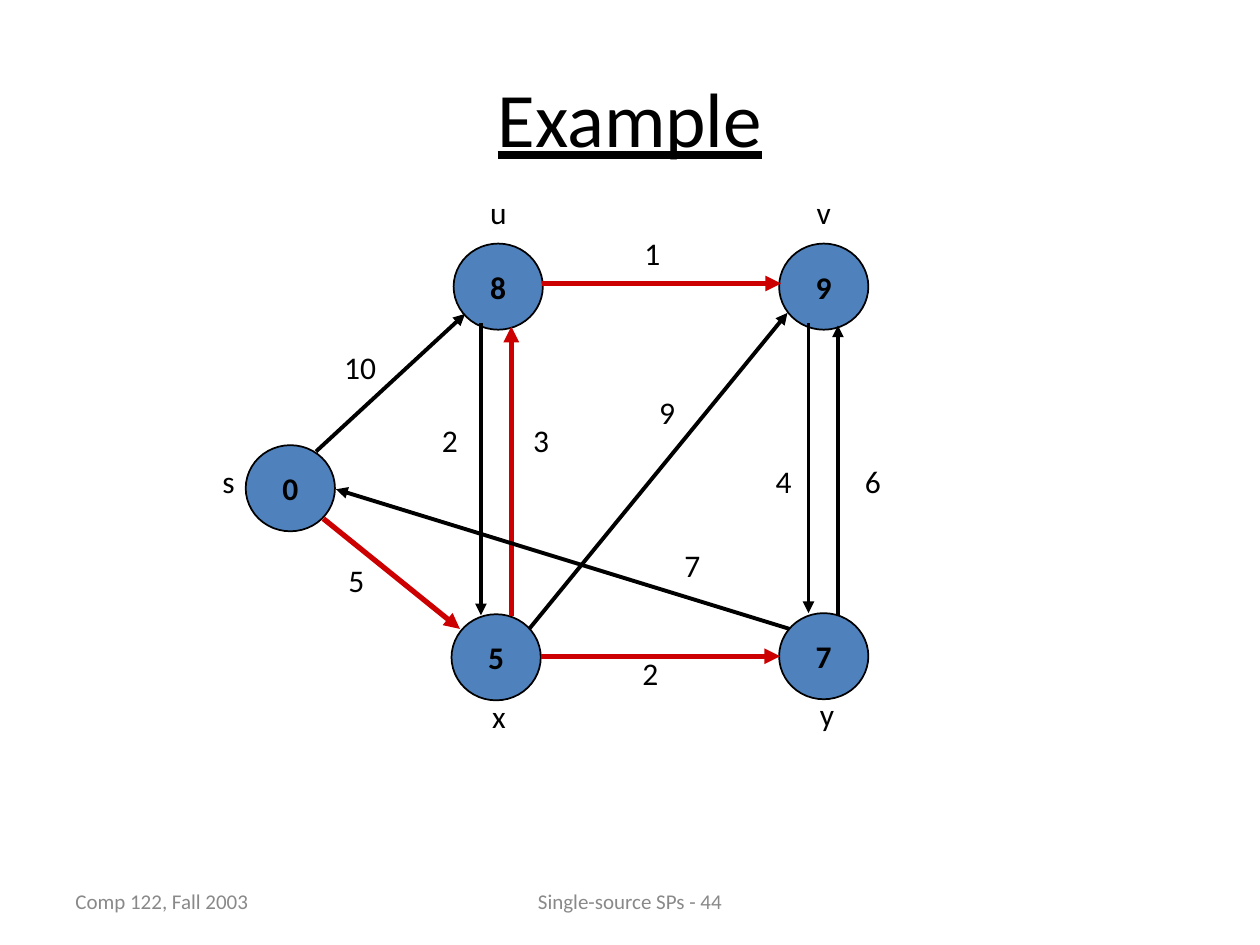
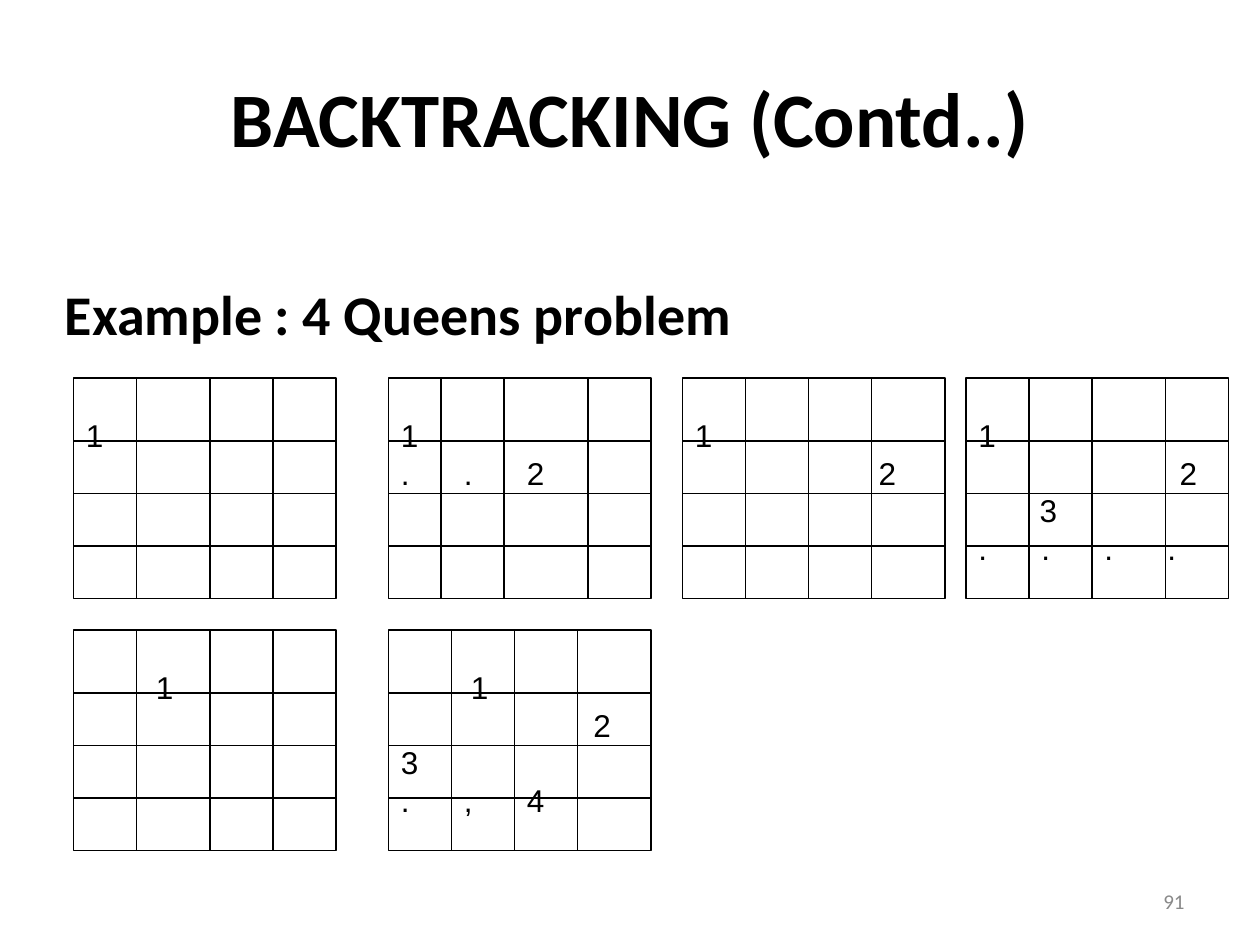
import pptx
import pptx.util
import pptx.dml.color
import pptx.enum.shapes
import pptx.enum.text
import pptx.oxml.ns
from lxml import etree

Pt = pptx.util.Pt
RGB = pptx.dml.color.RGBColor
SHAPE = pptx.enum.shapes.MSO_SHAPE
ALIGN = pptx.enum.text.PP_ALIGN
ANCHOR = pptx.enum.text.MSO_ANCHOR
qn = pptx.oxml.ns.qn

BLACK = RGB(0x00, 0x00, 0x00)
RED = RGB(0xCC, 0x00, 0x00)
BLUE = RGB(0x4F, 0x81, 0xBD)
GREY = RGB(0x89, 0x89, 0x89)

COLS, ROWS = 120, 90  # grid over the whole slide
SPOT = 5  # points between possible mark places in a board row

NODE_W, NODE_H = 8.5, 8.2
# name, distance, node left and top, name left and top
NODES = [
    ("s", "0", (23.4, 42.4), (20, 43.4)),
    ("y", "7", (74.2, 58.4), (76.9, 65.6)),
    ("x", "5", (43, 58.5), (45.7, 65.8)),
    ("v", "9", (74.2, 23.2), (76.6, 17.8)),
    ("u", "8", (43.2, 23.2), (45.5, 17.8)),
]
# weight, from, to, weight left and top, on a shortest path
EDGES = [
    ("10", (30.1, 43), (44.3, 29.9), (31.6, 32.6), False),
    ("5", (30.8, 49.4), (43.8, 59.9), (32, 52.8), True),
    ("2", (45.8, 30.8), (45.8, 58.6), (40.9, 39.5), False),
    ("3", (48.7, 58.7), (48.7, 31.1), (49.6, 39.5), True),
    ("4", (77, 30.8), (77, 58.4), (72.7, 43.4), False),
    ("6", (79.8, 58.7), (79.8, 31), (81.2, 43.4), False),
    ("2", (51.5, 62.5), (74.3, 62.5), (60, 61.7), True),
    ("1", (51.6, 27), (74.4, 27), (60.2, 21.7), True),
    ("9", (50.4, 59.9), (75, 29.8), (61.6, 36.8), False),
    ("7", (75.2, 59.9), (32, 46.6), (64, 51.4), False),
]

BOARD_W, BOARD_H = 25, 21
BOARD_ROWS = (6, 11, 16)
# left, top, column lines, rows of (spot, mark)
BOARDS = [
    (7, 36, (6, 13, 19), [[(0, "1")]]),
    (37, 36, (5, 11, 19), [[(0, "1")], [(0, "."), (7, "."), (15, "2")]]),
    (65, 36, (6, 12, 18), [[(0, "1")], [(21, "2")]]),
    (92, 36, (6, 12, 19), [[(0, "1")], [(23, "2")], [(7, "3")],
                           [(0, "."), (7, "."), (13, "."), (20, ".")]]),
    (7, 60, (6, 13, 19), [[(8, "1")]]),
    (37, 60, (6, 12, 18), [[(8, "1")], [(22, "2")], [(0, "3")],
                           [(0, "."), (7, ","), (14, "4")]]),
]


class Deck:
    def __init__(self):
        self.prs = pptx.Presentation()
        self.prs.slide_width = pptx.util.Inches(10)
        self.prs.slide_height = pptx.util.Inches(7.5)
        self.s = None

    def new_slide(self):
        self.s = self.prs.slides.add_slide(self.prs.slide_layouts[6])

    def grid(self, x, y):
        return (round(self.prs.slide_width * x / COLS),
                round(self.prs.slide_height * y / ROWS))

    def style(self, p, size, color=BLACK, font="Calibri", bold=False,
              underline=False, align=ALIGN.LEFT):
        p.alignment = align
        for r in p.runs:
            r.font.size, r.font.name = Pt(size), font
            r.font.bold, r.font.underline = bold, underline
            r.font.color.rgb = color

    def text(self, text, x, y, w, h, size=18, wrap=True,
             anchor=ANCHOR.TOP, **look):
        sp = self.s.shapes.add_textbox(*self.grid(x, y), *self.grid(w, h))
        tf = sp.text_frame
        tf.text = text
        tf.word_wrap = wrap
        tf.vertical_anchor = anchor
        self.style(tf.paragraphs[0], size, **look)

    def title(self, text, **look):
        self.text(text, 6, 3.6, 108, 15, 44, anchor=ANCHOR.MIDDLE,
                  align=ALIGN.CENTER, **look)

    def footer(self, text, x, w, align):
        self.text(text, x, 83.4, w, 4.8, 12, anchor=ANCHOR.MIDDLE,
                  color=GREY, align=align)

    def label(self, text, x, y):
        self.text(text, x, y, 2.2 + 1.6 * len(text), 4.8, wrap=False)

    def shape(self, kind, x, y, w, h, fill=None, width=1):
        sp = self.s.shapes.add_shape(kind, *self.grid(x, y), *self.grid(w, h))
        sp.shadow.inherit = False
        if fill is None:
            sp.fill.background()
        else:
            sp.fill.solid()
            sp.fill.fore_color.rgb = fill
        sp.line.color.rgb = BLACK
        sp.line.width = Pt(width)
        return sp

    def node(self, text, x, y):
        sp = self.shape(SHAPE.OVAL, x, y, NODE_W, NODE_H, BLUE)
        tf = sp.text_frame
        tf.text = text
        tf.word_wrap = False
        tf.vertical_anchor = ANCHOR.MIDDLE
        self.style(tf.paragraphs[0], 18, bold=True, align=ALIGN.CENTER)

    def line(self, start, end, color=BLACK, width=0.75, arrow=False):
        cn = self.s.shapes.add_connector(
            pptx.enum.shapes.MSO_CONNECTOR.STRAIGHT,
            *self.grid(*start), *self.grid(*end))
        cn.line.color.rgb = color
        cn.line.width = Pt(width)
        sp_pr = cn.line._get_or_add_ln().getparent()
        if arrow:
            etree.SubElement(sp_pr.find(qn("a:ln")), qn("a:tailEnd"),
                             type="triangle")
        etree.SubElement(sp_pr, qn("a:effectLst"))

    def marks(self, p, row):
        """Write one board row: indent to the first mark, tabs to the rest."""
        first, *rest = [spot for spot, _ in row]
        p_pr = p._p.get_or_add_pPr()
        p_pr.set("marL", str(Pt(first * SPOT)))
        p_pr.set("indent", "0")
        if rest:
            tabs = etree.SubElement(p_pr, qn("a:tabLst"))
            for spot in rest:
                etree.SubElement(tabs, qn("a:tab"), algn="l",
                                 pos=str(Pt(spot * SPOT)))
        p.text = "\t".join(mark for _, mark in row)
        self.style(p, 18, font="Arial")

    def board(self, x, y, columns, rows):
        sp = self.shape(SHAPE.RECTANGLE, x, y, BOARD_W, BOARD_H, width=0.75)
        tf = sp.text_frame
        tf.word_wrap = True
        tf.vertical_anchor = ANCHOR.TOP
        tf.margin_top = pptx.util.Inches(0.3)
        for i, row in enumerate(rows):
            self.marks(tf.add_paragraph() if i else tf.paragraphs[0], row)
        for dx in columns:
            self.line((x + dx, y), (x + dx, y + BOARD_H))
        for dy in BOARD_ROWS:
            self.line((x, y + dy), (x + BOARD_W, y + dy))


def shortest_paths(deck):
    deck.new_slide()
    deck.footer("Comp 122, Fall 2003", 6, 28, ALIGN.LEFT)
    deck.footer("Single-source SPs - 44", 41, 38, ALIGN.CENTER)
    deck.title("Example", underline=True)
    for name, distance, place, name_place in NODES:
        deck.node(distance, *place)
        deck.label(name, *name_place)
    for weight, start, end, weight_place, shortest in EDGES:
        color, width = (RED, 3) if shortest else (BLACK, 2.25)
        deck.line(start, end, color, width, arrow=True)
        deck.label(weight, *weight_place)


def four_queens(deck):
    deck.new_slide()
    deck.footer("91", 86, 28, ALIGN.RIGHT)
    deck.title("BACKTRACKING (Contd..)", bold=True)
    deck.text("Example : 4 Queens problem", 5, 26, 112, 58, 32, bold=True)
    for board in BOARDS:
        deck.board(*board)


def main():
    deck = Deck()
    shortest_paths(deck)
    four_queens(deck)
    deck.prs.save("out.pptx")


if __name__ == "__main__":
    main()
